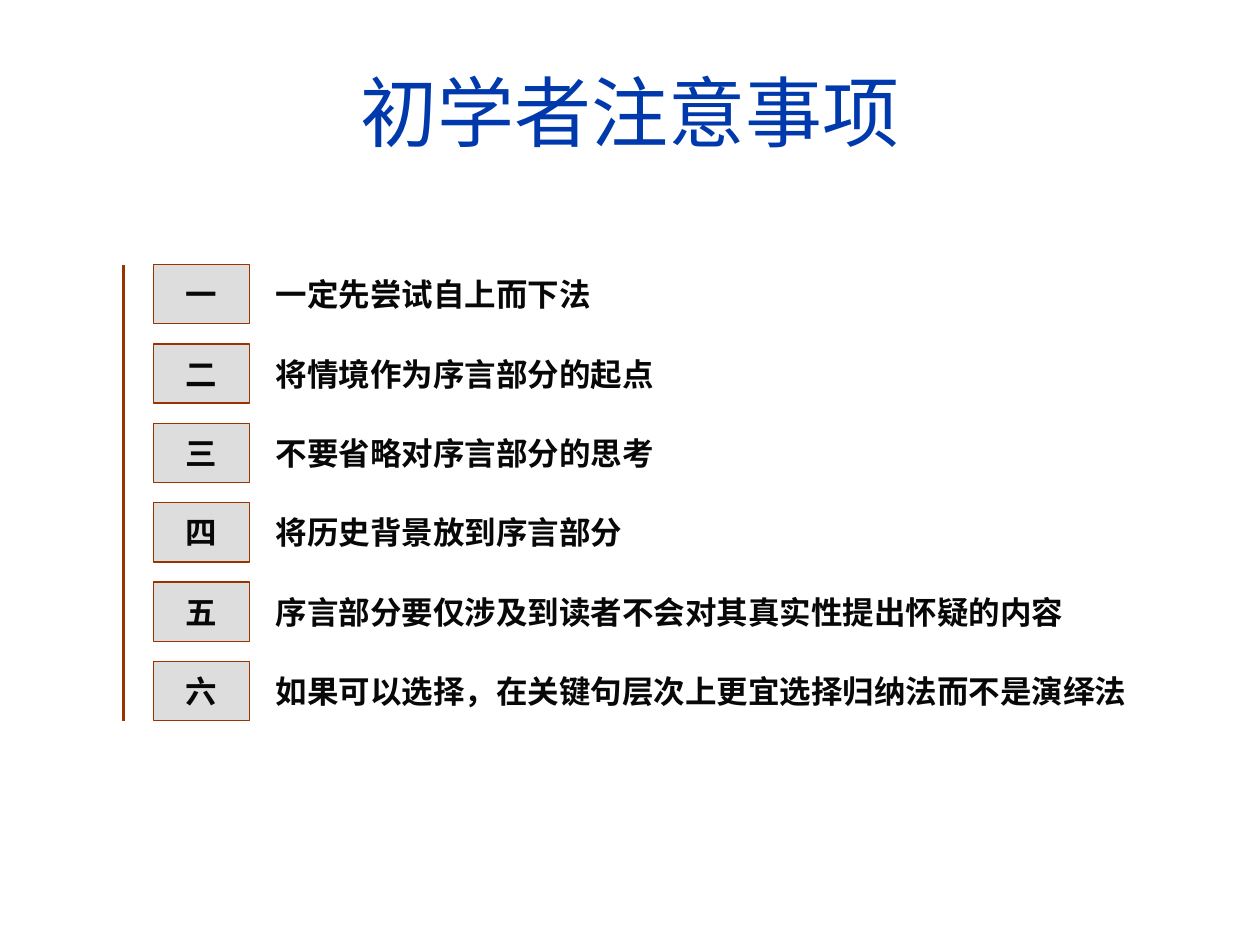
from pptx import Presentation
from pptx.dml.color import RGBColor
from pptx.enum.shapes import MSO_CONNECTOR, MSO_SHAPE
from pptx.enum.text import MSO_ANCHOR, PP_ALIGN
from pptx.oxml.ns import qn
from pptx.util import Inches, Pt
from lxml import etree

RECT = MSO_SHAPE.RECTANGLE
STRAIGHT = MSO_CONNECTOR.STRAIGHT
MIDDLE = MSO_ANCHOR.MIDDLE
LEFT, CENTER = PP_ALIGN.LEFT, PP_ALIGN.CENTER

BLUE = RGBColor(0x00, 0x39, 0xAC)
BROWN = RGBColor(0x99, 0x33, 0x00)
GREY = RGBColor(0xDD, 0xDD, 0xDD)
INK = RGBColor(0x08, 0x08, 0x08)

TITLE = "初学者注意事项"
NARROW, WIDE = 6.46, 7.09
RULES = [
    ("一", "一定先尝试自上而下法", NARROW),
    ("二", "将情境作为序言部分的起点", NARROW),
    ("三", "不要省略对序言部分的思考", NARROW),
    ("四", "将历史背景放到序言部分", NARROW),
    ("五", "序言部分要仅涉及到读者不会对其真实性提出怀疑的内容", NARROW),
    ("六", "如果可以选择，在关键句层次上更宜选择归纳法而不是演绎法", WIDE),
]

BAR_X, NUM_X, TEXT_X = 0.98, 1.22, 2.09
TOP, PITCH = 2.1, 0.63
NUM_W, ROW_H = 0.76, 0.47


def write(shape, text, size, font, color, align, bold=False):
    frame = shape.text_frame
    frame.text = text
    frame.word_wrap = True
    frame.vertical_anchor = MIDDLE
    para = frame.paragraphs[0]
    para.alignment = align
    face = para.runs[0].font
    face.size, face.name, face.bold = Pt(size), font, bold
    face.color.rgb = color


def add_bar(slide, x, top, bottom):
    bar = slide.shapes.add_connector(
        STRAIGHT, Inches(x), Inches(top), Inches(x), Inches(bottom))
    bar.line.color.rgb = BROWN
    bar.line.width = Pt(2.25)
    etree.SubElement(bar.element.spPr, qn("a:effectLst"))


def add_rule(slide, y, mark, text, width):
    box = slide.shapes.add_shape(
        RECT, Inches(NUM_X), Inches(y), Inches(NUM_W), Inches(ROW_H))
    box.shadow.inherit = False
    box.fill.solid()
    box.fill.fore_color.rgb = GREY
    box.line.color.rgb = BROWN
    box.line.width = Pt(0.75)
    write(box, mark, 18, "Times New Roman", INK, CENTER, True)
    label = slide.shapes.add_textbox(
        Inches(TEXT_X), Inches(y), Inches(width), Inches(ROW_H))
    write(label, text, 18, "Times New Roman", INK, LEFT, True)


def main():
    deck = Presentation()
    deck.slide_width, deck.slide_height = Inches(10), Inches(7.5)
    slide = deck.slides.add_slide(deck.slide_layouts[5])

    title = slide.shapes.title
    title.left, title.top = Inches(0.33), Inches(0.25)
    title.width, title.height = Inches(9.34), Inches(1.25)
    write(title, TITLE, 44, "Arial", BLUE, CENTER)

    for row, rule in enumerate(RULES):
        add_rule(slide, TOP + row * PITCH, *rule)
    add_bar(slide, BAR_X, TOP, TOP + (len(RULES) - 1) * PITCH + ROW_H)

    deck.save("out.pptx")


if __name__ == "__main__":
    main()
